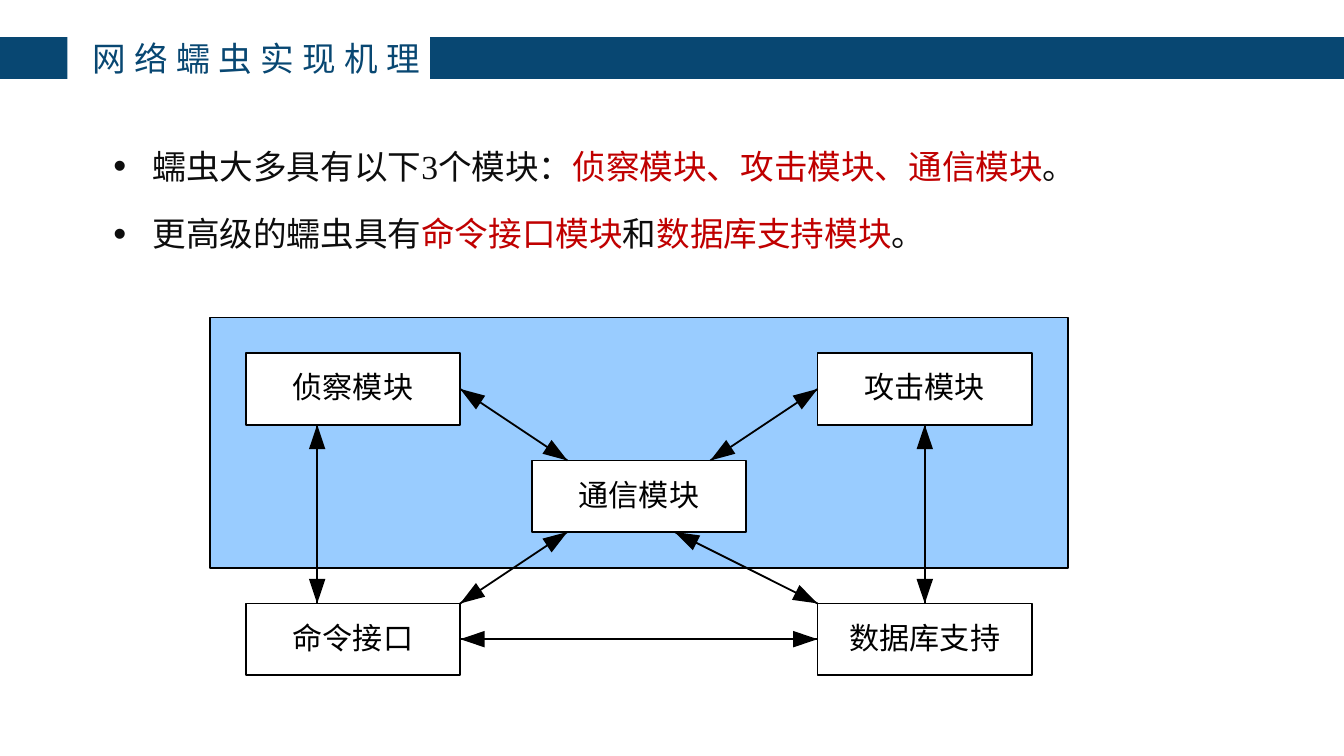
from dataclasses import dataclass
from math import hypot

from lxml import etree
from pptx import Presentation
from pptx.dml.color import RGBColor
from pptx.enum import shapes as sh, text as tx
from pptx.oxml import ns
from pptx.util import Pt

SANS, SERIF = "Noto Sans CJK SC", "Times New Roman"
NAVY, RED, INK, BLACK = "084772", "C00000", "0D0D0D", "000000"
UNIT, LEFT, TOP = 25.53, 150, 226.8
HEAD, HALF = 17.5, 5.9

Point = tuple[float, float]


@dataclass
class Box:
    text: str
    col: float
    row: float
    wide: float = 6
    high: float = 2
    fill: str = "FFFFFF"

    def sites(self) -> list[Point]:
        mid, half = self.col + self.wide / 2, self.row + self.high / 2
        return [(mid, self.row), (self.col, half),
                (mid, self.row + self.high), (self.col + self.wide, half)]


@dataclass
class Arrow:
    start: Point
    end: Point


PANEL = Box("", 0, 0, 24, 7, "99CCFF")
BOXES = [
    Box("侦察模块", 1, 1),
    Box("通信模块", 9, 4),
    Box("攻击模块", 17, 1),
    Box("命令接口", 1, 8),
    Box("数据库支持", 17, 8),
]
ARROWS = [
    Arrow((7, 2), (10, 4)),
    Arrow((17, 2), (14, 4)),
    Arrow((7, 8), (10, 6)),
    Arrow((17, 8), (13, 6)),
    Arrow((7, 9), (17, 9)),
    Arrow((3, 3), (3, 8)),
    Arrow((20, 3), (20, 8)),
]
BODY = [
    [("蠕虫大多具有以下3个模块：", INK), ("侦察模块、攻击模块、通信模块", RED), ("。", INK)],
    [("更高级的蠕虫具有", INK), ("命令接口模块", RED), ("和", INK),
     ("数据库支持模块", RED), ("。", INK)],
]


def color(code: str) -> RGBColor:
    return RGBColor.from_string(code)


def place(point: Point) -> Point:
    return LEFT + point[0] * UNIT, TOP + point[1] * UNIT


def add(node, tag: str, **attrs: str):
    return etree.SubElement(node, ns.qn(tag), attrs)


def style(para, name: str, size: float, code: str | None = None):
    font = para.font
    font.name, font.size = name, Pt(size)
    if code:
        font.color.rgb = color(code)
    props = para._p.pPr.find(ns.qn("a:defRPr"))
    add(props, "a:ea", typeface=SANS)
    return props


def paint(shape, fill: str) -> None:
    shape.shadow.inherit = False
    shape.fill.solid()
    shape.fill.fore_color.rgb = color(fill)
    shape.line.fill.background()


def block(slide, x: float, y: float, wide: float, high: float, fill: str):
    shape = slide.shapes.add_shape(
        sh.MSO_SHAPE.RECTANGLE, Pt(x), Pt(y), Pt(wide), Pt(high))
    paint(shape, fill)
    return shape


def label(slide, x: float, y: float, wide: float, high: float):
    frame = slide.shapes.add_textbox(Pt(x), Pt(y), Pt(wide), Pt(high)).text_frame
    frame.word_wrap = True
    return frame


def draw_box(slide, box: Box):
    shape = block(slide, *place((box.col, box.row)),
                  box.wide * UNIT, box.high * UNIT, box.fill)
    shape.line.color.rgb = color(BLACK)
    shape.line.width = Pt(1.3)
    if box.text:
        frame = shape.text_frame
        frame.vertical_anchor = tx.MSO_ANCHOR.MIDDLE
        frame.margin_bottom = Pt(6.5)
        para = frame.paragraphs[0]
        para.text = box.text
        para.alignment = tx.PP_ALIGN.CENTER
        style(para, SANS, 21.5, BLACK).set("spc", "10")
    return shape


def draw_head(slide, tip: Point, tail: Point) -> None:
    (x, y), (far, low) = tip, tail
    span = hypot(far - x, low - y)
    dx, dy = (far - x) / span, (low - y) / span
    base = [(x + dx * HEAD - dy * side, y + dy * HEAD + dx * side)
            for side in (HALF, -HALF)]
    pen = slide.shapes.build_freeform(Pt(x), Pt(y))
    pen.add_line_segments([(Pt(a), Pt(b)) for a, b in base], close=True)
    paint(pen.convert_to_shape(), BLACK)


def draw_arrow(slide, arrow: Arrow, joints: dict) -> None:
    start, end = place(arrow.start), place(arrow.end)
    link = slide.shapes.add_connector(
        sh.MSO_CONNECTOR.STRAIGHT, *(Pt(value) for value in start + end))
    if arrow.start in joints:
        link.begin_connect(*joints[arrow.start])
    if arrow.end in joints:
        link.end_connect(*joints[arrow.end])
    link.line.color.rgb = color(BLACK)
    link.line.width = Pt(1.3)
    add(link._element.spPr, "a:effectLst")
    draw_head(slide, start, end)
    draw_head(slide, end, start)


def draw_title(slide) -> None:
    block(slide, 307.2, 26.5, 652.8, 29.8, NAVY)
    block(slide, 0, 26.5, 48.2, 29.8, NAVY)
    frame = label(slide, 13.7, 23.5, 293.8, 36)
    frame.vertical_anchor = tx.MSO_ANCHOR.MIDDLE
    para = frame.paragraphs[0]
    para.text = "网络蠕虫实现机理"
    para.alignment = tx.PP_ALIGN.RIGHT
    style(para, SANS, 24, NAVY).set("spc", "600")


def draw_body(slide) -> None:
    frame = label(slide, 73.8, 91.5, 805.7, 88.6)
    for index, parts in enumerate(BODY):
        para = frame.add_paragraph() if index else frame.paragraphs[0]
        para.alignment = tx.PP_ALIGN.JUSTIFY
        para.line_spacing = Pt(38)
        para.space_before = Pt(10)
        for words, code in parts:
            run = para.add_run()
            run.text = words
            run.font.color.rgb = color(code)
        props = style(para, SERIF, 24)
        para._p.pPr.set("marL", str(Pt(28)))
        para._p.pPr.set("indent", str(Pt(-28)))
        for tag, attrs in (("a:buSzPct", {"val": "110000"}),
                           ("a:buFont", {"typeface": "Arial"}),
                           ("a:buChar", {"char": "•"})):
            props.addprevious(add(para._p.pPr, tag, **attrs))


def main() -> None:
    deck = Presentation()
    deck.slide_width, deck.slide_height = Pt(960), Pt(540)
    slide = deck.slides.add_slide(deck.slide_layouts[6])
    draw_title(slide)
    draw_body(slide)
    draw_box(slide, PANEL)
    joints = {}
    for box in BOXES:
        shape = draw_box(slide, box)
        joints.update({spot: (shape, site) for site, spot in enumerate(box.sites())})
    for arrow in ARROWS:
        draw_arrow(slide, arrow, joints)
    deck.save("out.pptx")


if __name__ == "__main__":
    main()
